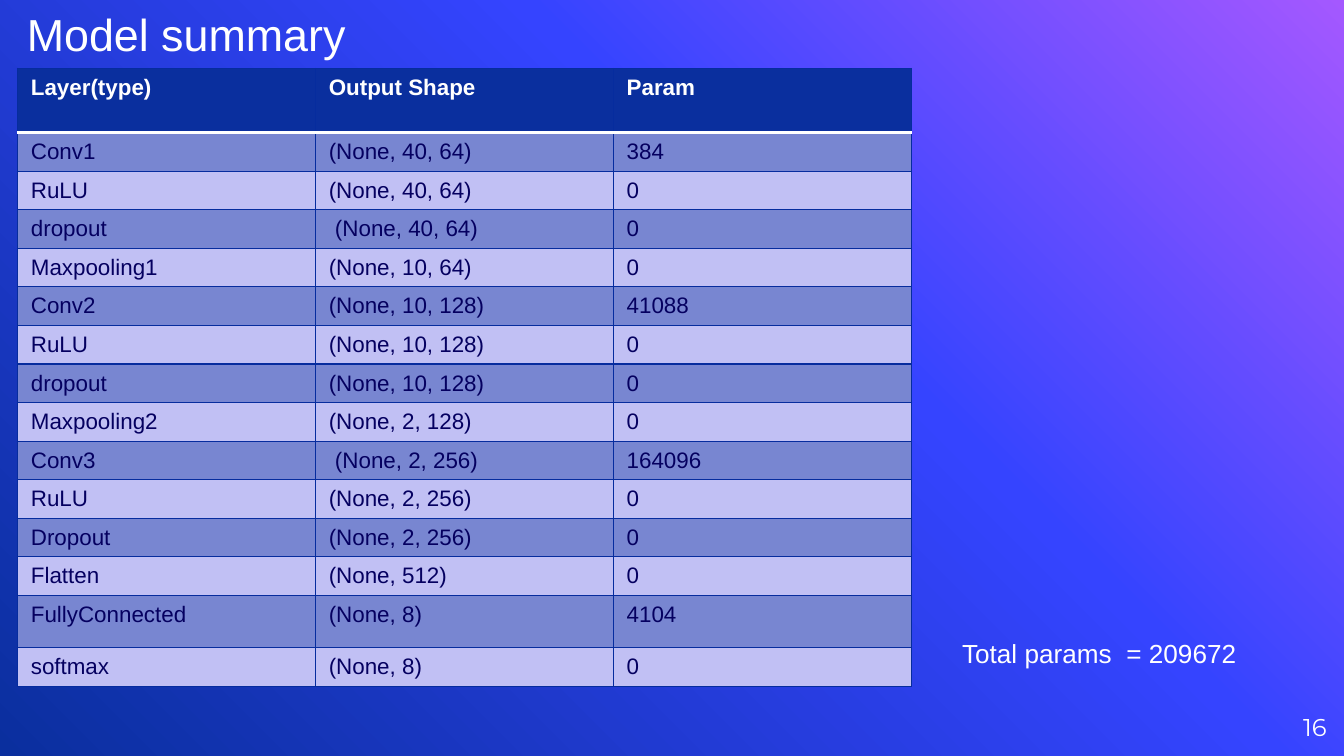
from copy import deepcopy
from dataclasses import dataclass
from typing import NamedTuple

from lxml import etree
from pptx import Presentation
from pptx import util as u
from pptx.dml.color import RGBColor
from pptx.enum import text
from pptx.oxml.ns import qn

# A 16:9 slide, divided into 100 columns and 100 rows
WIDTH = u.Inches(10)
HEIGHT = WIDTH * 9 // 16

WHITE = RGBColor(0xFF, 0xFF, 0xFF)
PURPLE = RGBColor(0xA4, 0x58, 0xFF)
BLUE = RGBColor(0x35, 0x44, 0xFF)
NAVY = RGBColor(0x0A, 0x2F, 0x9E)
BORDER = RGBColor(0x06, 0x2C, 0x9E)
INK = RGBColor(0x05, 0x00, 0x60)
DARK_BAND = RGBColor(0x78, 0x86, 0xD1)
LIGHT_BAND = RGBColor(0xC1, 0xC0, 0xF4)


class Area(NamedTuple):
    column: float
    row: float
    columns: float
    rows: float


class Layer(NamedTuple):
    name: str
    output: str
    params: str
    rows: float = 4.44


@dataclass
class Label:
    words: str
    area: Area
    size: float
    font: str = "Arial"
    align: text.PP_ALIGN = text.PP_ALIGN.LEFT
    anchor: text.MSO_ANCHOR = text.MSO_ANCHOR.TOP
    wrap: bool = True
    inset: float = 0.1


TITLE = Label("Model summary", Area(-2, 0, 31.7, 8.9), 24,
              align=text.PP_ALIGN.CENTER)
TOTAL = Label("Total params  = 209672", Area(70.6, 83.4, 22.7, 6.05), 14,
              wrap=False)
PAGE_NUMBER = Label("16", Area(92.7, 92.35, 6, 7.65), 13, "Montserrat",
                    text.PP_ALIGN.RIGHT, text.MSO_ANCHOR.MIDDLE, inset=0)

TABLE_COLUMN, TABLE_ROW, TABLE_COLUMNS = 1.3, 9.07, 66.5
LAYERS = [
    Layer("Layer(type)", "Output Shape", "Param", 8.47),
    Layer("Conv1", "(None, 40, 64)", "384"),
    Layer("RuLU", "(None, 40, 64)", "0"),
    Layer("dropout", " (None, 40, 64)", "0"),
    Layer("Maxpooling1", "(None, 10, 64)", "0"),
    Layer("Conv2", "(None, 10, 128)", "41088"),
    Layer("RuLU", "(None, 10, 128)", "0"),
    Layer("dropout", "(None, 10, 128)", "0"),
    Layer("Maxpooling2", "(None, 2, 128)", "0"),
    Layer("Conv3", " (None, 2, 256)", "164096"),
    Layer("RuLU", "(None, 2, 256)", "0"),
    Layer("Dropout", "(None, 2, 256)", "0"),
    Layer("Flatten", "(None, 512)", "0"),
    Layer("FullyConnected", "(None, 8)", "4104", 6.92),
    Layer("softmax", "(None, 8)", "0"),
]


def across(columns: float) -> int:
    return round(WIDTH * columns / 100)


def down(rows: float) -> int:
    return round(HEIGHT * rows / 100)


def place(area: Area) -> tuple[int, int, int, int]:
    return (across(area.column), down(area.row),
            across(area.columns), down(area.rows))


def paint_background(page) -> None:
    fill = page.background.fill
    fill.gradient()
    fill.gradient_angle = 225
    stop_list = page.element.find(".//" + qn("a:gsLst"))
    stop_list.append(deepcopy(stop_list[-1]))
    colours = ((0, PURPLE), (0.39, BLUE), (1, NAVY))
    for stop, (position, colour) in zip(fill.gradient_stops, colours):
        stop.position = position
        stop.color.rgb = colour


def write_label(box, label: Label) -> None:
    box.left, box.top, box.width, box.height = place(label.area)
    frame = box.text_frame
    frame.text = label.words
    frame.word_wrap = label.wrap
    frame.auto_size = text.MSO_AUTO_SIZE.NONE
    frame.vertical_anchor = label.anchor
    frame.margin_left = frame.margin_right = u.Inches(label.inset)
    frame.margin_top = frame.margin_bottom = u.Inches(label.inset / 2)
    para = frame.paragraphs[0]
    para.alignment = label.align
    para.font.name, para.font.size = label.font, u.Pt(label.size)
    para.font.color.rgb = WHITE


def add_label(page, label: Label) -> None:
    write_label(page.shapes.add_textbox(*place(label.area)), label)


def set_borders(cell, row: int) -> None:
    properties = cell._tc.get_or_add_tcPr()
    for index, side in enumerate(("lnL", "lnR", "lnT", "lnB")):
        under_header = (row, side) in ((0, "lnB"), (1, "lnT"))
        colour, points = (WHITE, 2) if under_header else (BORDER, 0.75)
        line = etree.Element(qn(f"a:{side}"), w=str(u.Pt(points)))
        solid = etree.SubElement(line, qn("a:solidFill"))
        etree.SubElement(solid, qn("a:srgbClr"), val=str(colour))
        properties.insert(index, line)


def write_cell(cell, words: str, row: int) -> None:
    header = row == 0
    cell.text = words
    font = cell.text_frame.paragraphs[0].font
    font.name, font.size, font.bold = "Arial", u.Pt(12), header
    font.color.rgb = WHITE if header else INK
    cell.fill.solid()
    band = DARK_BAND if row % 2 else LIGHT_BAND
    cell.fill.fore_color.rgb = NAVY if header else band
    set_borders(cell, row)


def add_layer_table(page) -> None:
    area = Area(TABLE_COLUMN, TABLE_ROW, TABLE_COLUMNS,
                sum(layer.rows for layer in LAYERS))
    table = page.shapes.add_table(len(LAYERS), 3, *place(area)).table
    for column in table.columns:
        column.width = across(TABLE_COLUMNS / 3)
    for row, layer in enumerate(LAYERS):
        table.rows[row].height = down(layer.rows)
        for column, words in enumerate((layer.name, layer.output, layer.params)):
            write_cell(table.cell(row, column), words, row)


def main() -> None:
    deck = Presentation()
    deck.slide_width, deck.slide_height = WIDTH, HEIGHT
    page = deck.slides.add_slide(deck.slide_layouts.get_by_name("Title Only"))
    paint_background(page)

    # Title and table
    write_label(page.shapes.title, TITLE)
    add_layer_table(page)

    # Total and page number
    add_label(page, TOTAL)
    add_label(page, PAGE_NUMBER)
    deck.save("out.pptx")


if __name__ == "__main__":
    main()
